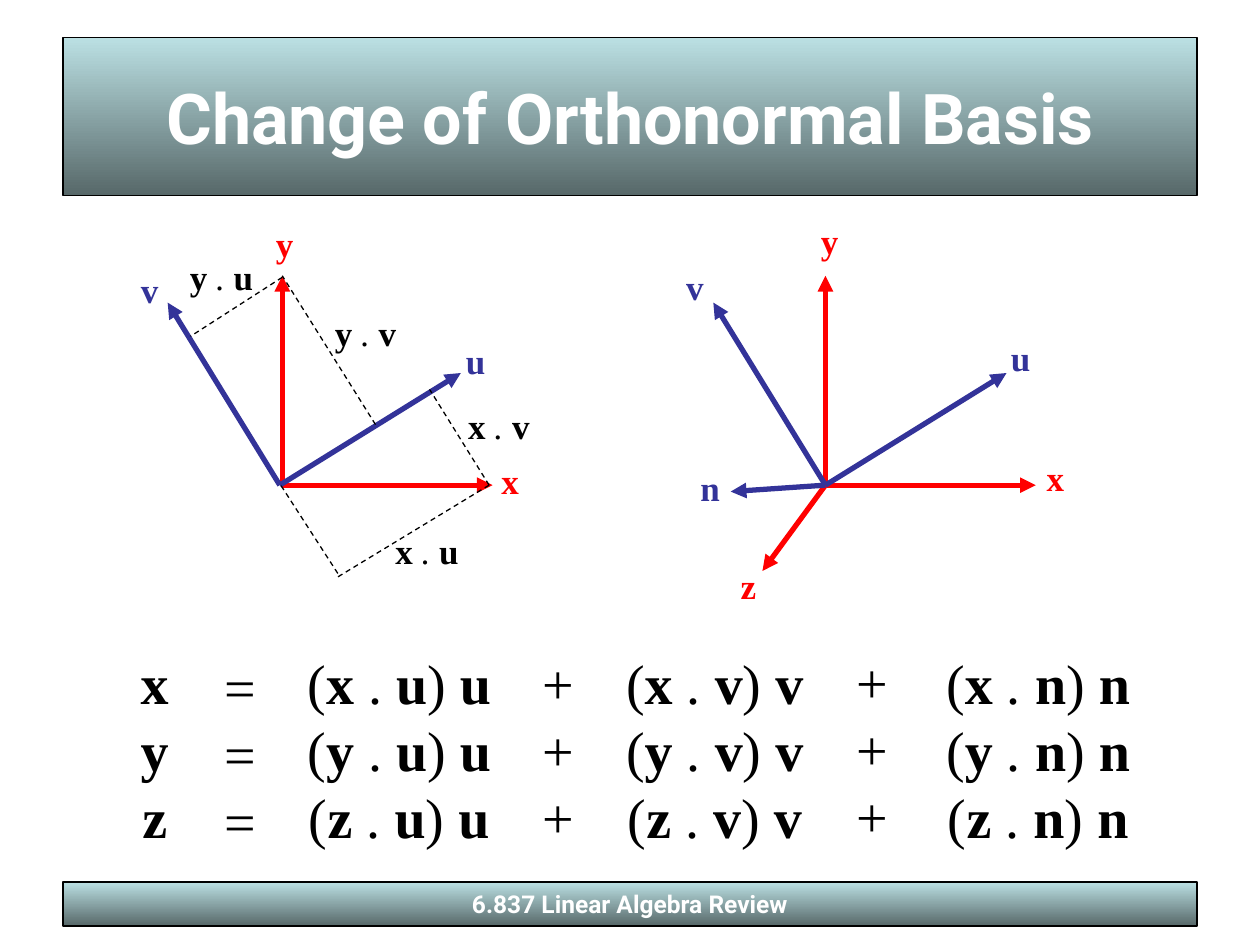
from dataclasses import dataclass
from typing import NamedTuple

from pptx import Presentation
from pptx.dml.color import RGBColor
from pptx.enum import dml, shapes, text
from pptx.oxml import ns, xmlchemy
from pptx.util import Cm, Pt


@dataclass(frozen=True)
class Theme:
    sans: str = "Roboto"
    serif: str = "Times New Roman"
    light: RGBColor = RGBColor(0xBB, 0xE0, 0xE3)
    dark: RGBColor = RGBColor(0x57, 0x68, 0x69)
    white: RGBColor = RGBColor(0xFF, 0xFF, 0xFF)
    black: RGBColor = RGBColor(0, 0, 0)
    red: RGBColor = RGBColor(0xFF, 0, 0)
    blue: RGBColor = RGBColor(0x33, 0x33, 0x99)
    title: int = 40
    equation: int = 32
    label: int = 20
    footer: int = 14
    hairline: float = 0.74
    vector: int = 3


THEME = Theme()


class Point(NamedTuple):
    """A position or an offset in centimetres."""
    x: float
    y: float

    def plus(self, other: "Point") -> "Point":
        return Point(self.x + other.x, self.y + other.y)


@dataclass(frozen=True)
class Axis:
    name: str
    tip: Point
    label: Point
    color: RGBColor


@dataclass(frozen=True)
class Frame:
    origin: Point
    rotated_origin: Point
    label_shift: Point
    axes: str


@dataclass(frozen=True)
class Column:
    center: float
    top: float
    width: float
    rows: list[str]


AXES = {axis.name: axis for axis in (
    Axis("x", Point(4.24, 0), Point(4.17, -0.64), THEME.red),
    Axis("y", Point(0, -4.22), Point(-0.38, -5.41), THEME.red),
    Axis("z", Point(-1.27, 1.73), Point(-2, 1.53), THEME.red),
    Axis("u", Point(3.65, -2.26), Point(3.45, -3.07), THEME.blue),
    Axis("v", Point(-2.26, -3.68), Point(-3.1, -4.5), THEME.blue),
    Axis("n", Point(-1.91, 0.13), Point(-2.81, -0.45), THEME.blue),
)}
FRAMES = (
    Frame(Point(5.69, 9.78), Point(5.64, 9.78), Point(0, 0), "xyuv"),
    Frame(Point(16.64, 9.78), Point(16.64, 9.78), Point(0.04, -0.06), "xyzuvn"),
)
PROJECTIONS = (
    (Point(9.86, 9.78), Point(8.66, 7.85)),
    (Point(9.86, 9.78), Point(6.81, 11.63)),
    (Point(6.81, 11.56), Point(5.64, 9.75)),
    (Point(7.57, 8.56), Point(5.69, 5.56)),
    (Point(5.69, 5.59), Point(3.84, 6.78)),
)
DOT_PRODUCTS = {
    "x . u": Point(7.72, 10.54),
    "x . v": Point(9.19, 8.03),
    "y . v": Point(6.5, 6.15),
    "y . u": Point(3.58, 5.03),
}


def products(basis: str) -> list[str]:
    return [f"({axis} . {basis}) {basis}" for axis in "xyz"]


COLUMNS = (
    Column(3.12, 12.95, 1.07, list("xyz")),
    Column(4.84, 13.03, 1.14, ["="] * 3),
    Column(8.05, 12.95, 4.22, products("u")),
    Column(11.26, 12.95, 1.14, ["+"] * 3),
    Column(14.41, 12.95, 4.09, products("v")),
    Column(17.59, 12.93, 1.14, ["+"] * 3),
    Column(20.93, 12.95, 4.22, products("n")),
)


def format_banner(banner, top: float, height: float, wording: str, size: int) -> None:
    banner.left, banner.top = Cm(1.27), Cm(top)
    banner.width, banner.height = Cm(22.86), Cm(height)
    banner.fill.gradient()
    banner.fill.gradient_angle = 270
    for stop, color in zip(banner.fill.gradient_stops, (THEME.light, THEME.dark)):
        stop.color.rgb = color
    banner.line.color.rgb = THEME.black
    banner.line.width = Pt(THEME.hairline)
    frame = banner.text_frame
    frame.text = wording
    frame.auto_size = text.MSO_AUTO_SIZE.NONE
    frame.vertical_anchor = text.MSO_ANCHOR.MIDDLE
    paragraph = frame.paragraphs[0]
    paragraph.alignment = text.PP_ALIGN.CENTER
    font = paragraph.font
    font.name, font.size, font.bold = THEME.sans, Pt(size), True
    font.color.rgb = THEME.white


def add_math(slide, corner: Point, width: float, height: float, rows: list[str],
             size: int, color: RGBColor = THEME.black, wrap: bool = True,
             italic_dot: bool = False,
             alignment: text.PP_ALIGN = text.PP_ALIGN.LEFT) -> None:
    """Write rows of vector algebra with the vector names in bold."""
    box = slide.shapes.add_textbox(Cm(corner.x), Cm(corner.y), Cm(width), Cm(height))
    frame = box.text_frame
    frame.word_wrap = wrap
    frame.auto_size = text.MSO_AUTO_SIZE.SHAPE_TO_FIT_TEXT
    for index, row in enumerate(rows):
        paragraph = frame.add_paragraph() if index else frame.paragraphs[0]
        paragraph.alignment = alignment
        font = paragraph.font
        font.name, font.size = THEME.serif, Pt(size)
        font.color.rgb = color
        for part in row.replace(" . ", "| . |").replace("(", "(|").replace(") ", "|) |").split("|"):
            run = paragraph.add_run()
            run.text = part
            run.font.bold = part.isalpha()
            if italic_dot and part == " . ":
                run.font.italic = True


def add_line(slide, start: Point, end: Point, color: RGBColor, width: float,
             arrow: bool = False) -> None:
    """Draw a solid arrow or a dashed line."""
    line = slide.shapes.add_connector(
        shapes.MSO_CONNECTOR.STRAIGHT, Cm(start.x), Cm(start.y), Cm(end.x), Cm(end.y))
    line.line.color.rgb = color
    line.line.width = Pt(width)
    if arrow:
        head = xmlchemy.OxmlElement("a:tailEnd")
        head.set("type", "triangle")
        line.line._get_or_add_ln().append(head)
    else:
        line.line.dash_style = dml.MSO_LINE.DASH
    line._element.find(ns.qn("p:spPr")).append(xmlchemy.OxmlElement("a:effectLst"))


def add_basis(slide, frame: Frame) -> None:
    for name in frame.axes:
        axis = AXES[name]
        start = frame.rotated_origin if axis.color == THEME.blue else frame.origin
        add_line(slide, start, start.plus(axis.tip), axis.color, THEME.vector, arrow=True)
        add_math(slide, frame.origin.plus(axis.label).plus(frame.label_shift),
                 1.12, 1.12, [name], THEME.label, axis.color)


presentation = Presentation()
presentation.slide_width, presentation.slide_height = Cm(25.4), Cm(19.05)
slide = presentation.slides.add_slide(presentation.slide_layouts[5])

# Title and footer banners
format_banner(slide.shapes.title, 0.76, 3.18, "Change of Orthonormal Basis", THEME.title)
footer = slide.shapes.add_shape(shapes.MSO_SHAPE.RECTANGLE, 0, 0, 0, 0)
footer.shadow.inherit = False
format_banner(footer, 17.78, 0.89, "6.837 Linear Algebra Review", THEME.footer)

# Equations, column by column
for column in COLUMNS:
    add_math(slide, Point(column.center - column.width / 2, column.top), column.width, 4.32,
             column.rows, THEME.equation, wrap=False, alignment=text.PP_ALIGN.CENTER)

# The two bases, in the plane and in space
for basis_frame in FRAMES:
    add_basis(slide, basis_frame)

# Projections onto the rotated axes
for start, end in PROJECTIONS:
    add_line(slide, start, end, THEME.black, THEME.hairline)
for product, corner in DOT_PRODUCTS.items():
    add_math(slide, corner, 2.31, 1.12, [product], THEME.label, italic_dot=True)

presentation.save("out.pptx")
